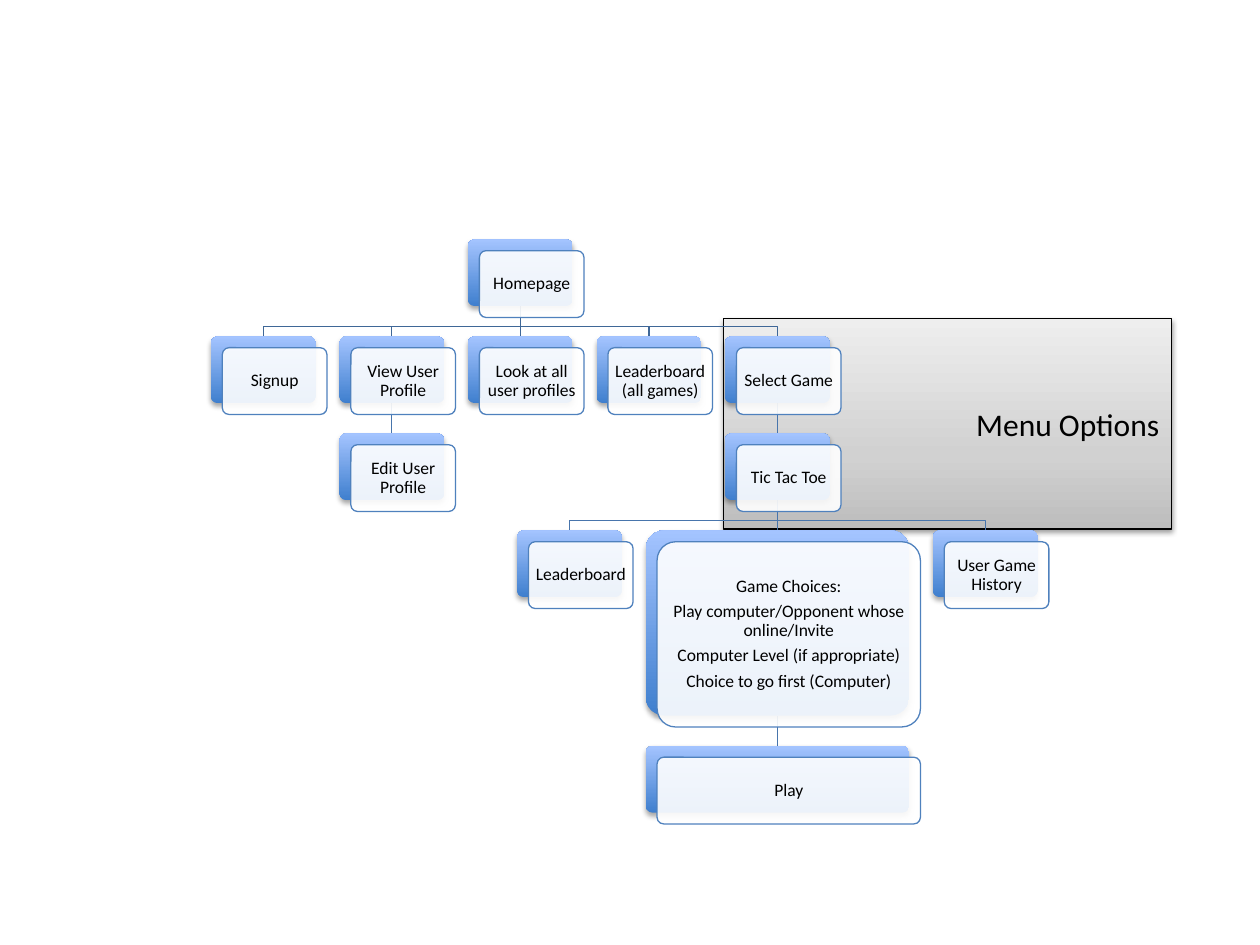
from lxml import etree
from pptx import Presentation, util as u
from pptx.dml.color import RGBColor
from pptx.enum import shapes, text
from pptx.oxml.ns import qn

BLACK = RGBColor(0x00, 0x00, 0x00)
WHITE = RGBColor(0xFF, 0xFF, 0xFF)
CARD_EDGE = RGBColor(0x4F, 0x81, 0xBD)
TOP_BRANCH = RGBColor(0x3F, 0x67, 0x97)
LOWER_BRANCH = RGBColor(0x48, 0x75, 0xAC)
BLUE_FADE = [(0, RGBColor(0x3F, 0x7F, 0xCE)), (100, RGBColor(0xA4, 0xC4, 0xFF))]
GREY_FADE = [(0, RGBColor(0xBD, 0xBD, 0xBD)), (35, RGBColor(0xD1, 0xD1, 0xD1)),
             (100, RGBColor(0xEE, 0xEE, 0xEE))]

# key: (parent, column, side of the column, size, paragraphs)
SMALL, CHOICES, WIDE = (0.83, 0.53), (2.09, 1.47), (2.09, 0.53)
PAGES = {
    "home": (None, 2, 0, SMALL, ["Homepage"]),
    "signup": ("home", 0, 0, SMALL, ["Signup"]),
    "profile": ("home", 1, 0, SMALL, ["View User Profile"]),
    "edit": ("profile", 1, 0, SMALL, ["Edit User Profile"]),
    "all profiles": ("home", 2, 0, SMALL, ["Look at all user profiles"]),
    "all leaders": ("home", 3, 0, SMALL, ["Leaderboard (all games)"]),
    "select": ("home", 4, 0, SMALL, ["Select Game"]),
    "game": ("select", 4, 0, SMALL, ["Tic Tac Toe"]),
    "leaders": ("game", 4, -1, SMALL, ["Leaderboard"]),
    "choices": ("game", 4, 0, CHOICES, [
        "Game Choices:", "Play computer/Opponent whose online/Invite",
        "Computer Level (if appropriate)", "Choice to go first (Computer)"]),
    "play": ("choices", 4, 0, WIDE, ["Play"]),
    "history": ("game", 4, 1, SMALL, ["User Game History"]),
}
FIRST_CENTRE, COLUMN, FIRST_TOP = 2.09, 1.02, 1.9
ROW_GAP, BEND, SIDE_GAP, CARD_SHIFT = 0.24, 0.16, 0.19, 0.09
SIDE_STEP = (SMALL[0] + CHOICES[0]) / 2 + SIDE_GAP


def add(parent, tag, **attributes):
    """Append a DrawingML element and return it."""
    return etree.SubElement(parent, qn("a:" + tag), attributes)


def colour(parent, rgb, opacity=100):
    """Append an RGB colour with its opacity in percent."""
    add(add(parent, "srgbClr", val=str(rgb)), "alpha", val=str(opacity * 1000))


def box(slide, kind, place):
    """Add a preset shape at a place given in inches."""
    shape = slide.shapes.add_shape(kind, *map(u.Inches, place))
    shape.shadow.inherit = False
    if kind == shapes.MSO_SHAPE.ROUNDED_RECTANGLE:
        shape.adjustments[0] = 0.1
    return shape


def outline(shape, rgb):
    """Give a shape a thin line."""
    shape.line.color.rgb, shape.line.width = rgb, u.Pt(0.75)


def fade(shape, stops, opacity, distance):
    """Give a shape an upward gradient and a soft shadow below."""
    shape.fill.gradient()
    gradient = shape._element.spPr.find(qn("a:gradFill"))
    for child in list(gradient):
        gradient.remove(child)
    stop_list = add(gradient, "gsLst")
    for position, rgb in stops:
        colour(add(stop_list, "gs", pos=str(position * 1000)), rgb)
    add(gradient, "lin", ang="16200000", scaled="0")
    shadow = add(shape._element.spPr.find(qn("a:effectLst")), "outerShdw",
                 blurRad=str(u.Pt(3.1)), dist=str(u.Pt(distance)),
                 dir="5400000", rotWithShape="0")
    colour(shadow, BLACK, opacity)


def write(shape, lines, size, inset, **paragraph_format):
    """Write paragraphs into a shape, centred vertically."""
    frame = shape.text_frame
    frame.text = "\n".join(lines)
    frame.word_wrap = True
    frame.vertical_anchor = text.MSO_ANCHOR.MIDDLE
    for side, length in zip(("left", "right", "top", "bottom"), inset):
        setattr(frame, "margin_" + side, u.Inches(length))
    for paragraph in frame.paragraphs:
        for name, value in paragraph_format.items():
            setattr(paragraph, name, value)
        font = paragraph.font
        font.name, font.size, font.color.rgb = "Calibri", u.Pt(size), BLACK


def branch(slide, start, end, rgb):
    """Draw a straight or bent line from a parent to a child."""
    x1, y1, x2, y2 = map(u.Inches, (*start, *end))
    if x1 == x2:
        line = slide.shapes.add_connector(
            shapes.MSO_CONNECTOR.STRAIGHT, x1, y1, x2, y2)
        add(line._element.spPr, "effectLst")
    else:
        bend = y1 + u.Inches(BEND)
        builder = slide.shapes.build_freeform(x1, y1)
        builder.add_line_segments([(x1, bend), (x2, bend), (x2, y2)],
                                  close=False)
        line = builder.convert_to_shape()
        line.fill.background()
        line.shadow.inherit = False
    outline(line, rgb)


def card(slide, place, lines):
    """Draw a blue back card with a translucent text card in front."""
    rounded = shapes.MSO_SHAPE.ROUNDED_RECTANGLE
    back = box(slide, rounded, place)
    back.line.fill.background()
    fade(back, BLUE_FADE, 35, 1.8)
    left, top, *size = place
    front = box(slide, rounded, (left + CARD_SHIFT, top + CARD_SHIFT, *size))
    front.fill.solid()
    front.fill.fore_color.rgb = WHITE
    add(front._element.spPr.find(qn("a:solidFill"))[0], "alpha", val="90000")
    outline(front, CARD_EDGE)
    write(front, lines, 10, [0.04] * 4, alignment=text.PP_ALIGN.CENTER,
          line_spacing=0.9, space_after=u.Pt(3.5))


def locate():
    """Work out the top centre and bottom centre of every page."""
    tops, bottoms = {}, {}
    for key, (parent, column, side, size, _) in PAGES.items():
        x = FIRST_CENTRE + column * COLUMN + side * SIDE_STEP
        y = bottoms[parent][1] + ROW_GAP if parent else FIRST_TOP
        tops[key], bottoms[key] = (x, y), (x, y + size[1])
    return tops, bottoms


deck = Presentation()
deck.slide_width, deck.slide_height = u.Inches(10), u.Inches(7.5)
slide = deck.slides.add_slide(deck.slide_layouts[6])

menu = box(slide, shapes.MSO_SHAPE.RECTANGLE, (5.74, 2.53, 3.56, 1.67))
outline(menu, BLACK)
fade(menu, GREY_FADE, 38, 1.6)
write(menu, ["Menu Options"], 18, (0.1, 0.1, 0.05, 0.05),
      alignment=text.PP_ALIGN.RIGHT)

tops, bottoms = locate()
for key, (parent, *_) in PAGES.items():
    if parent:
        branch(slide, bottoms[parent], tops[key],
               TOP_BRANCH if parent == "home" else LOWER_BRANCH)
for key, (_, _, _, (width, height), lines) in PAGES.items():
    x, y = tops[key]
    card(slide, (x - width / 2, y, width, height), lines)

deck.save("out.pptx")
